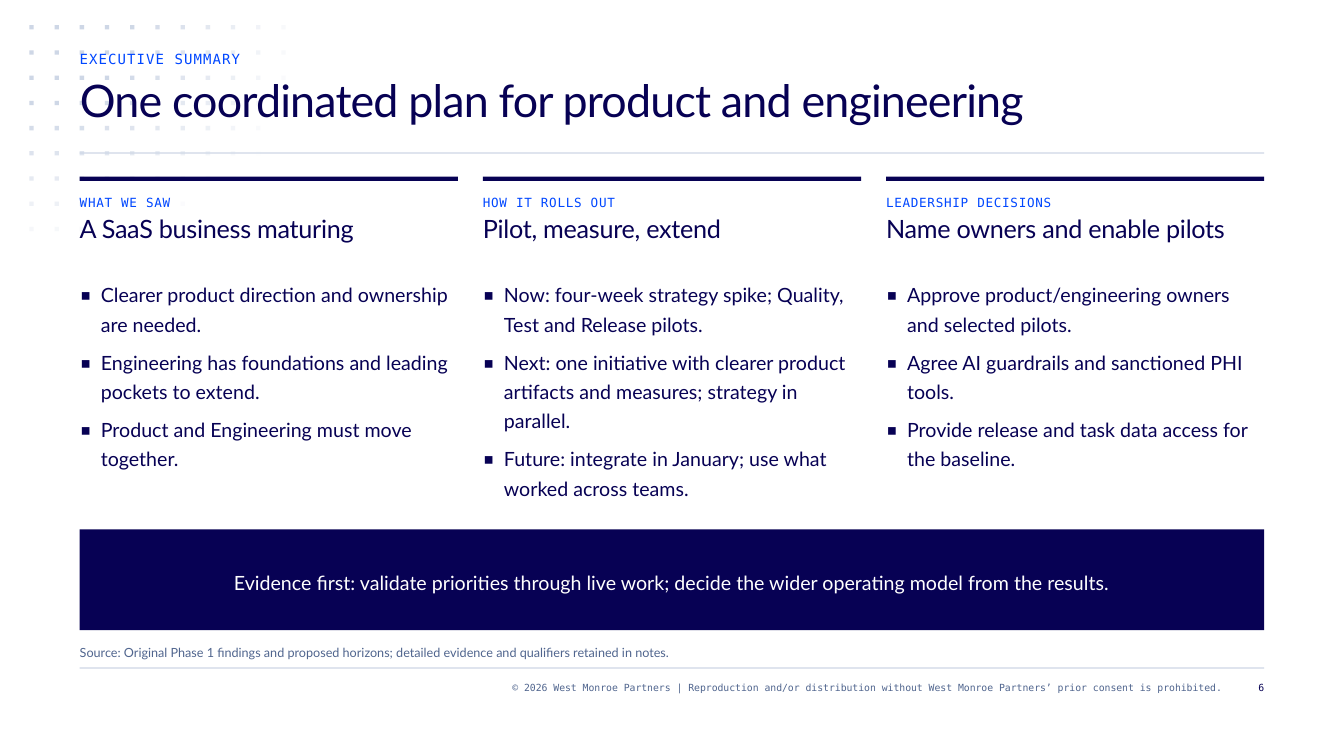
"""Build the executive summary slide with three columns and a closing callout."""
from dataclasses import dataclass
from math import hypot

from lxml import etree
from pptx import Presentation
from pptx import util as u
from pptx.dml.color import RGBColor
from pptx.enum import shapes, text
from pptx.oxml.ns import qn

NAVY, BLUE, SLATE, PALE, WHITE = "070154", "0047FF", "50658E", "CED7E6", "FFFFFF"
SANS, MONO = "Lato", "DejaVu Sans Mono"
LEFT, WIDTH = 2.01, 29.85
COLUMN_WIDTH, COLUMN_PITCH = 9.53, 10.16
DOT_PITCH = 2.54 / 4
ALIGN = text.PP_ALIGN


@dataclass
class Style:
    size: float
    leading: float
    color: str
    font: str = SANS
    tracking: float = 0
    align: text.PP_ALIGN = ALIGN.LEFT


@dataclass
class Label:
    words: str
    left: float
    top: float
    width: float
    height: float
    style: Style


@dataclass
class Column:
    kicker: str
    heading: str
    points: list[str]


EYEBROW = Style(10, 12, BLUE, MONO, 0.8)
TITLE = Style(32, 36, NAVY, tracking=-0.6)
KICKER = Style(9, 12, BLUE, MONO, 0.5)
HEADING = Style(18, 24, NAVY, tracking=-0.2)
BODY = Style(14, 21, NAVY)
CALLOUT = Style(14, 21, WHITE, align=ALIGN.CENTER)
SOURCE = Style(9, 12, SLATE)
LEGAL = Style(7, 9, SLATE, MONO, align=ALIGN.RIGHT)
PAGE_NUMBER = Style(7, 9, NAVY, MONO, align=ALIGN.RIGHT)

LABELS = [
    Label("EXECUTIVE SUMMARY", LEFT, 1.27, WIDTH, 0.42, EYEBROW),
    Label("Source: Original Phase 1 findings and proposed horizons; detailed evidence and "
          "qualifiers retained in notes.", LEFT, 16.2, WIDTH, 0.42, SOURCE),
    Label("© 2026 West Monroe Partners | Reproduction and/or distribution without "
          "West Monroe Partners’ prior consent is prohibited.", 6.03, 17.15, 24.77, 0.64, LEGAL),
    Label("6", 31.01, 17.15, 0.85, 0.64, PAGE_NUMBER),
]

COLUMNS = [
    Column("WHAT WE SAW", "A SaaS business maturing", [
        "Clearer product direction and ownership are needed.",
        "Engineering has foundations and leading pockets to extend.",
        "Product and Engineering must move together.",
    ]),
    Column("HOW IT ROLLS OUT", "Pilot, measure, extend", [
        "Now: four-week strategy spike; Quality, Test and Release pilots.",
        "Next: one initiative with clearer product artifacts and measures; strategy in parallel.",
        "Future: integrate in January; use what worked across teams.",
    ]),
    Column("LEADERSHIP DECISIONS", "Name owners and enable pilots", [
        "Approve product/engineering owners and selected pilots.",
        "Agree AI guardrails and sanctioned PHI tools.",
        "Provide release and task data access for the baseline.",
    ]),
]


def rgb(color: str) -> RGBColor:
    return RGBColor.from_string(color)


def place(box, left: float, top: float, width: float, height: float) -> None:
    box.left, box.top = u.Cm(left), u.Cm(top)
    box.width, box.height = u.Cm(width), u.Cm(height)


def prepare_frame(box, anchor=text.MSO_ANCHOR.TOP):
    frame = box.text_frame
    frame.word_wrap = True
    frame.auto_size = text.MSO_AUTO_SIZE.NONE
    frame.vertical_anchor = anchor
    frame.margin_left = frame.margin_right = frame.margin_top = frame.margin_bottom = 0
    return frame


def write(para, words: str, style: Style, before: float = 0) -> None:
    para.text = words
    para.alignment = style.align
    para.line_spacing = u.Pt(style.leading)
    para.space_before, para.space_after = u.Pt(before), u.Pt(0)
    para.font.size = u.Pt(style.size)
    para.font.name = style.font
    para.font.bold = False
    para.font.color.rgb = rgb(style.color)
    if style.tracking:
        properties = para._p.get_or_add_pPr().get_or_add_defRPr()
        properties.set("spc", str(round(style.tracking * 100)))


def add_bullet(para) -> None:
    properties = para._p.get_or_add_pPr()
    indent = u.Cm(0.53)
    properties.set("marL", str(indent))
    properties.set("indent", str(-indent))
    etree.SubElement(properties, qn("a:buFont"), typeface=MONO)
    etree.SubElement(properties, qn("a:buChar"), char="▪")


def add_label(page, label: Label) -> None:
    box = page.shapes.add_textbox(0, 0, 0, 0)
    place(box, label.left, label.top, label.width, label.height)
    write(prepare_frame(box).paragraphs[0], label.words, label.style)


def add_block(page, left: float, top: float, width: float, height: float,
              color: str, opacity: int = 100):
    block = page.shapes.add_shape(shapes.MSO_SHAPE.RECTANGLE, 0, 0, 0, 0)
    place(block, left, top, width, height)
    block.shadow.inherit = False
    block.line.fill.background()
    block.fill.solid()
    block.fill.fore_color.rgb = rgb(color)
    if opacity < 100:
        shade = block.element.spPr.find(f".//{qn('a:srgbClr')}")
        etree.SubElement(shade, qn("a:alpha"), val=str(opacity * 1000))
    return block


def add_dots(page) -> None:
    for across in range(11):
        for down in range(9):
            opacity = min(100, int(153 * (1 - hypot(across / 11.08, down / 9.07))))
            if opacity > 0:
                add_block(page, 0.74 + across * DOT_PITCH, DOT_PITCH * (down + 1),
                          0.11, 0.11, PALE, opacity)


def add_column(page, column: Column, left: float, body) -> None:
    add_block(page, left, 4.45, COLUMN_WIDTH, 0.11, NAVY)
    add_label(page, Label(column.kicker, left, 4.87, COLUMN_WIDTH, 0.42, KICKER))
    add_label(page, Label(column.heading, left, 5.29, COLUMN_WIDTH, 0.85, HEADING))
    place(body, left, 6.99, COLUMN_WIDTH, 5.72)
    frame = prepare_frame(body)
    for index, point in enumerate(column.points):
        para = frame.add_paragraph() if index else frame.paragraphs[0]
        add_bullet(para)
        write(para, point, BODY, before=6 if index else 0)


def main() -> None:
    deck = Presentation()
    deck.slide_width, deck.slide_height = u.Cm(33.87), u.Cm(19.05)
    page = deck.slides.add_slide(deck.slide_layouts.get_by_name("Comparison"))
    title, *bodies, spare = page.placeholders
    spare.element.getparent().remove(spare.element)

    add_dots(page)
    for top in (3.84, 16.82):
        add_block(page, LEFT, top, WIDTH, 0.03, PALE)
    place(title, LEFT, 1.91, WIDTH, 1.91)
    write(prepare_frame(title).paragraphs[0],
          "One coordinated plan for product and engineering", TITLE)
    title.element.getparent().append(title.element)

    for label in LABELS:
        add_label(page, label)
    for index, (column, body) in enumerate(zip(COLUMNS, bodies)):
        add_column(page, column, LEFT + index * COLUMN_PITCH, body)

    callout = add_block(page, LEFT, 13.34, WIDTH, 2.54, NAVY)
    write(prepare_frame(callout, text.MSO_ANCHOR.MIDDLE).paragraphs[0],
          "Evidence first: validate priorities through live work; "
          "decide the wider operating model from the results.", CALLOUT)
    deck.save("out.pptx")


if __name__ == "__main__":
    main()
